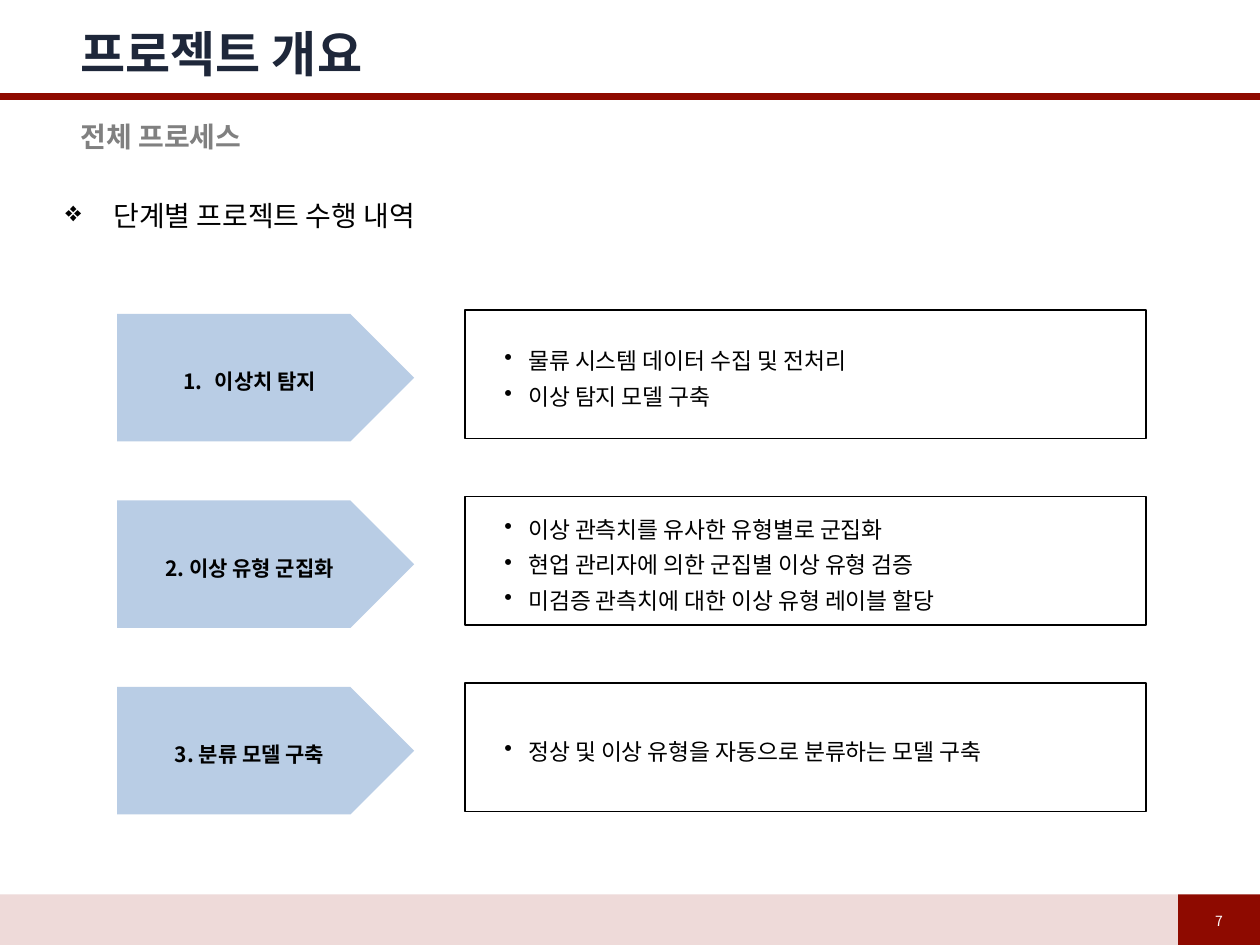
from lxml.etree import SubElement
from pptx import Presentation
from pptx.dml.color import RGBColor
from pptx.enum.shapes import MSO_CONNECTOR, MSO_SHAPE
from pptx.enum.text import MSO_ANCHOR, MSO_AUTO_SIZE, PP_ALIGN
from pptx.oxml.ns import qn
from pptx.util import Cm, Pt

# Content
TITLE = "프로젝트 개요"
SUBTITLE = "전체 프로세스"
HEADING = "단계별 프로젝트 수행 내역"
PAGE_NUMBER = "7"
# Step label, automatic numbering, tasks
STEPS = [
    ("이상치 탐지", True,
     ["물류 시스템 데이터 수집 및 전처리", "이상 탐지 모델 구축"]),
    ("2. 이상 유형 군집화", False,
     ["이상 관측치를 유사한 유형별로 군집화",
      "현업 관리자에 의한 군집별 이상 유형 검증",
      "미검증 관측치에 대한 이상 유형 레이블 할당"]),
    ("3. 분류 모델 구축", False,
     ["정상 및 이상 유형을 자동으로 분류하는 모델 구축"]),
]

# Style and layout (lengths in cm)
FONT = "Noto Sans CJK KR"
RED, NAVY, GREY, BLUE = "8E0A00", "1E273A", "808080", "B9CDE5"
BLACK, WHITE = "000000", "FFFFFF"
PAGE_W, PAGE_H = 25.4, 19.05
FOOTER_TOP, NUMBER_LEFT = 18.03, 23.75
TEXT_LEFT, TEXT_W = 1.63, 22.89
ARROW_TOP, TASKS_TOP, STEP_PITCH = 6.33, 6.25, 3.76


def color(target, hex_color):
    target.rgb = RGBColor.from_string(hex_color)


def lengths(*values):
    return [Cm(value) for value in values]


def set_insets(frame, left, top, right, bottom):
    frame.margin_left, frame.margin_top = Cm(left), Cm(top)
    frame.margin_right, frame.margin_bottom = Cm(right), Cm(bottom)


def add_block(kind, box, fill=None, line=None):
    block = slide.shapes.add_shape(kind, *lengths(*box))
    block.shadow.inherit = False
    if fill:
        block.fill.solid()
        color(block.fill.fore_color, fill)
    else:
        block.fill.background()
    if line:
        color(block.line.color, line)
        block.line.width = Pt(1)
    else:
        block.line.fill.background()
    return block


def add_bullet(paragraph, indent, tag, **attributes):
    properties = paragraph._p.get_or_add_pPr()
    properties.set("marL", str(Cm(indent)))
    properties.set("indent", str(-Cm(indent)))
    SubElement(properties, qn(tag), attributes)


def style(paragraph, size, hex_color, bold=False, align=PP_ALIGN.LEFT, spacing=1.0):
    paragraph.alignment = align
    paragraph.line_spacing = spacing
    font = paragraph.font
    font.name, font.size, font.bold = FONT, Pt(size), bold
    color(font.color, hex_color)
    defaults = paragraph._p.pPr.find(qn("a:defRPr"))
    SubElement(defaults, qn("a:ea"), typeface=FONT)


def write(frame, lines, bullet=None, **look):
    frame.word_wrap = True
    for index, line in enumerate(lines):
        paragraph = frame.paragraphs[0] if index == 0 else frame.add_paragraph()
        paragraph.text = line
        if bullet:
            indent, tag, attributes = bullet
            add_bullet(paragraph, indent, tag, **attributes)
        style(paragraph, **look)


deck = Presentation()
deck.slide_width, deck.slide_height = Cm(PAGE_W), Cm(PAGE_H)
slide = deck.slides.add_slide(deck.slide_layouts[5])

# Footer band and page number
band = add_block(MSO_SHAPE.RECTANGLE,
                 (0, FOOTER_TOP, NUMBER_LEFT, PAGE_H - FOOTER_TOP), fill=RED)
band_color = band.fill._xPr.find(qn("a:solidFill"))[0]
SubElement(band_color, qn("a:alpha"), val="15000")
number = add_block(MSO_SHAPE.RECTANGLE,
                   (NUMBER_LEFT, FOOTER_TOP, PAGE_W - NUMBER_LEFT, 1.06), fill=RED)
number.text_frame.vertical_anchor = MSO_ANCHOR.MIDDLE
write(number.text_frame, [PAGE_NUMBER], size=8, hex_color=WHITE, align=PP_ALIGN.CENTER)

# Title, rule and subtitle
rule = slide.shapes.add_connector(MSO_CONNECTOR.STRAIGHT, *lengths(0, 1.95, PAGE_W, 1.95))
color(rule.line.color, RED)
rule.line.width = Pt(4)
SubElement(rule._element.spPr, qn("a:effectLst"))

title = slide.shapes.title
title.left, title.top, title.width, title.height = lengths(TEXT_LEFT, 0.66, TEXT_W, 0.97)
title.text_frame.auto_size = MSO_AUTO_SIZE.NONE
title.text_frame.vertical_anchor = MSO_ANCHOR.MIDDLE
set_insets(title.text_frame, 0, 0, 0, 0)
write(title.text_frame, [TITLE], size=28, hex_color=NAVY, bold=True, spacing=0.9)

subtitle = slide.shapes.add_textbox(*lengths(TEXT_LEFT, 2.41, TEXT_W, 0.81))
set_insets(subtitle.text_frame, 0, 0, 0, 0)
write(subtitle.text_frame, [SUBTITLE], size=16, hex_color=GREY, bold=True)

# Section heading
heading = slide.shapes.add_textbox(*lengths(1.07, 3.53, TEXT_W, 1.14))
heading.text_frame.auto_size = MSO_AUTO_SIZE.SHAPE_TO_FIT_TEXT
write(heading.text_frame, [HEADING], bullet=(0.97, "a:buChar", {"char": "❖"}),
      size=16, hex_color=BLACK, spacing=1.5)

# Steps: arrow with its label, box with its tasks
for row, (label, numbered, tasks) in enumerate(STEPS):
    offset = row * STEP_PITCH
    arrow = add_block(MSO_SHAPE.PENTAGON, (2.36, ARROW_TOP + offset, 5.99, 2.57), fill=BLUE)
    arrow.text_frame.vertical_anchor = MSO_ANCHOR.MIDDLE
    numbering = (0.64, "a:buAutoNum", {"type": "arabicPeriod"}) if numbered else None
    write(arrow.text_frame, [label], bullet=numbering, size=12, hex_color=BLACK,
          bold=True, align=PP_ALIGN.CENTER, spacing=1.3)

    task_box = add_block(MSO_SHAPE.RECTANGLE, (9.37, TASKS_TOP + offset, 13.74, 2.59),
                         line=BLACK)
    task_box.text_frame.vertical_anchor = MSO_ANCHOR.MIDDLE
    set_insets(task_box.text_frame, 0.8, 0.13, 0.25, 0.13)
    write(task_box.text_frame, tasks, bullet=(0.48, "a:buChar", {"char": "•"}),
          size=13, hex_color=BLACK, spacing=1.3)

deck.save("out.pptx")
